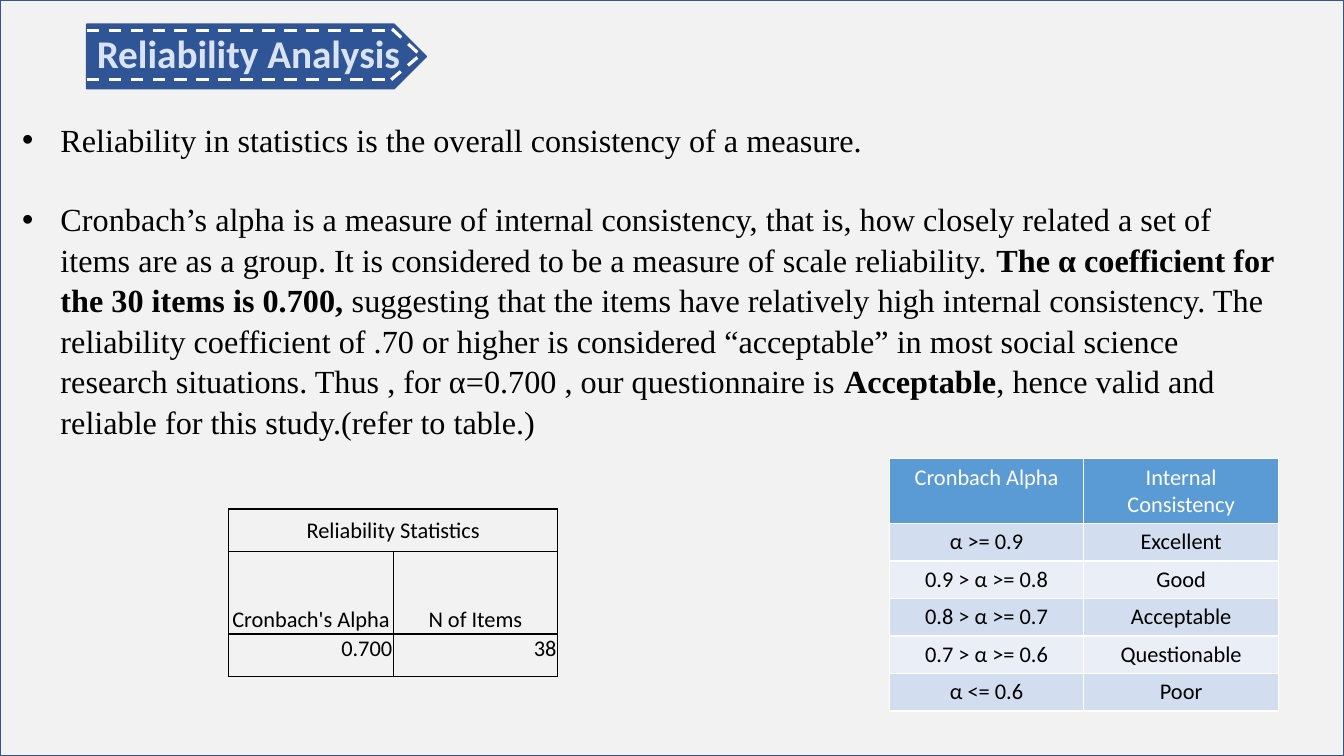
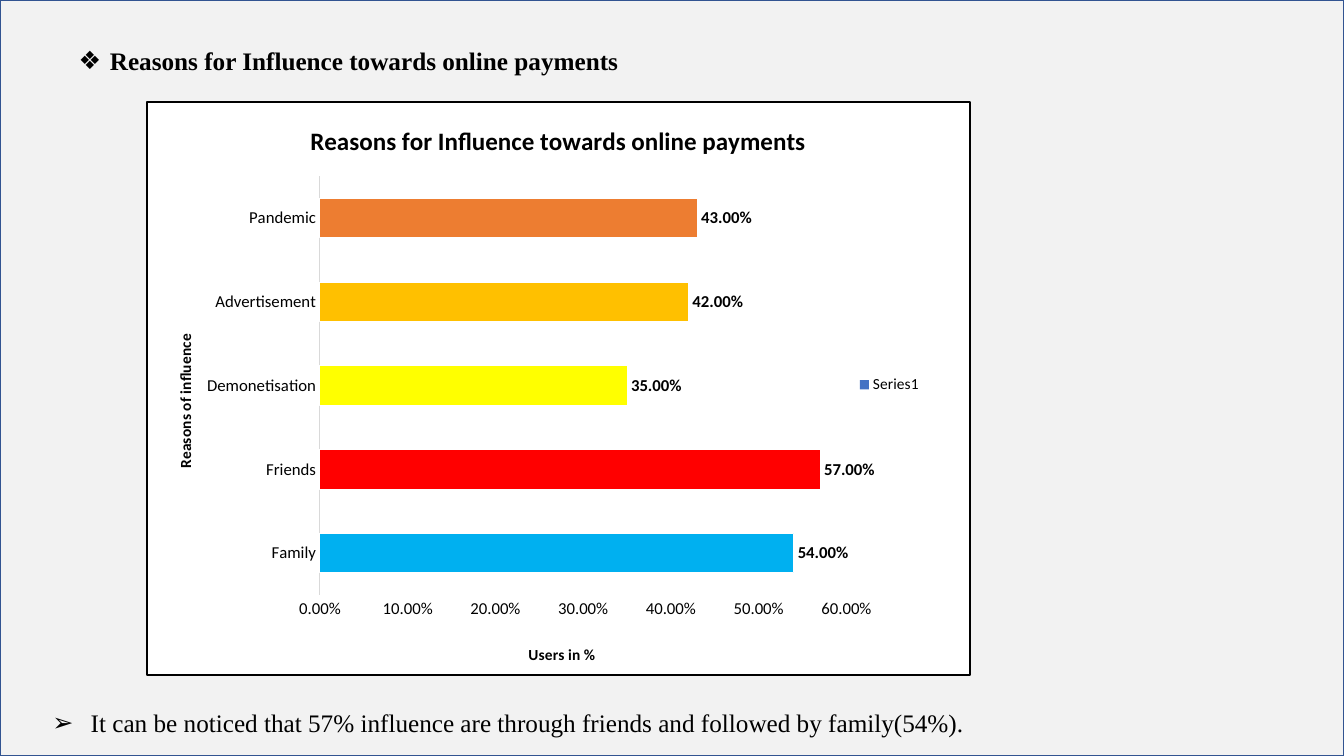
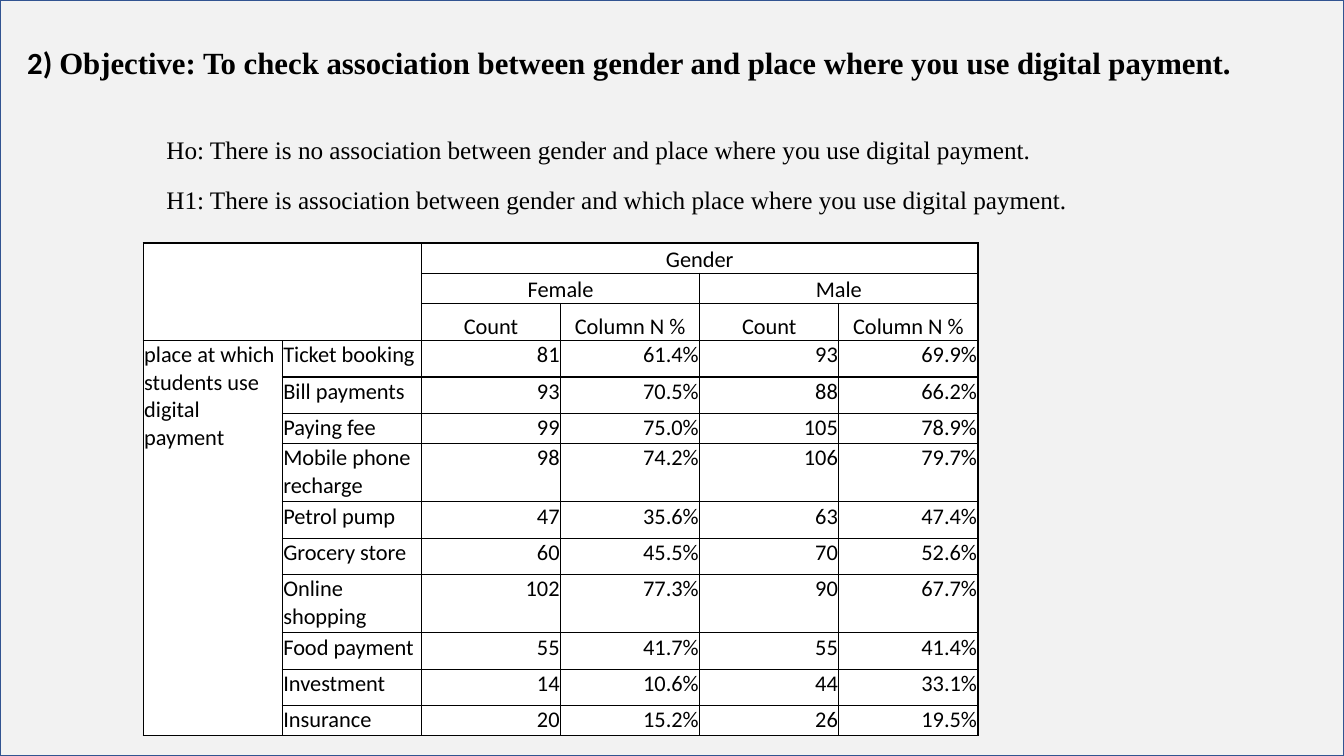
from dataclasses import dataclass

from lxml import etree
from pptx import Presentation
from pptx.chart.data import CategoryChartData
from pptx.dml.color import RGBColor
from pptx.enum.chart import (XL_CHART_TYPE, XL_LABEL_POSITION,
                             XL_LEGEND_POSITION, XL_TICK_MARK)
from pptx.enum.dml import MSO_LINE
from pptx.enum.shapes import MSO_CONNECTOR, MSO_SHAPE
from pptx.enum.text import MSO_ANCHOR, MSO_AUTO_SIZE, PP_ALIGN
from pptx.oxml.ns import qn
from pptx.util import Inches, Pt

LEFT, MID, RIGHT = PP_ALIGN.LEFT, PP_ALIGN.CENTER, PP_ALIGN.RIGHT
TOP, CORE, LOW = MSO_ANCHOR.TOP, MSO_ANCHOR.MIDDLE, MSO_ANCHOR.BOTTOM
RECT, PLATE = MSO_SHAPE.RECTANGLE, MSO_SHAPE.PENTAGON
LINE, DASH = MSO_CONNECTOR.STRAIGHT, MSO_LINE.DASH
BAR, OUTER = XL_CHART_TYPE.BAR_CLUSTERED, XL_LABEL_POSITION.OUTSIDE_END
SIDE, NO_TICK = XL_LEGEND_POSITION.RIGHT, XL_TICK_MARK.NONE
NO_FIT = MSO_AUTO_SIZE.NONE


@dataclass(frozen=True)
class Theme:
    """Colours, fonts and type sizes of the deck."""
    panel: str = "F2F2F2"
    edge: str = "325491"
    plate: str = "2F5597"
    pale: str = "DAE3F3"
    ink: str = "000000"
    white: str = "FFFFFF"
    head: str = "5B9BD5"
    bands: tuple = ("EAEFF7", "D2DEEF")
    axis: str = "D9D9D9"
    series: str = "4472C4"
    bars: tuple = ("00B0F0", "FF0000", "FFFF00", "FFC000", "ED7D31")
    sans: str = "Calibri"
    serif: str = "Times New Roman"
    banner: int = 28
    lead: int = 23
    title: int = 22
    text: int = 18
    cell: int = 16
    label: int = 12
    small: int = 11


T = Theme()


def rgb(code):
    """Turn a hex code into a colour."""
    return RGBColor.from_string(code)


def style(font, size, name=T.sans, ink=T.ink, bold=False):
    """Set the look of a font."""
    font.size, font.name, font.bold = Pt(size), name, bold
    font.color.rgb = rgb(ink)


def node(parent, tag, **attrs):
    """Append an XML child."""
    return etree.SubElement(parent, qn(tag), attrs)


def stroke(parent, tag, code, width):
    """Append a solid line to an XML parent."""
    line = node(parent, tag, w=str(Pt(width)))
    node(node(line, "a:solidFill"), "a:srgbClr", val=code)


def mark_up(para, mark, hang):
    """Give a paragraph its bullet and hanging indent."""
    props = para._p.get_or_add_pPr()
    props.set("marL", str(Inches(hang)))
    props.set("indent", str(-Inches(hang)))
    if mark:
        node(props, "a:buFont", typeface="Arial")
        node(props, "a:buChar", char=mark)
    else:
        node(props, "a:buNone")


def write(shape, at, paras, size, ink=T.ink, mark="", hang=0, space=1, after=0):
    """Place a placeholder and fill it with paragraphs of (text, font, bold)."""
    shape.left, shape.top, shape.width, shape.height = map(Inches, at)
    frame = shape.text_frame
    frame.word_wrap, frame.auto_size = True, NO_FIT
    frame.vertical_anchor = TOP
    for i, parts in enumerate(paras):
        para = frame.add_paragraph() if i else frame.paragraphs[0]
        para.alignment, para.line_spacing = LEFT, space
        para.space_before, para.space_after = Pt(0), Pt(after)
        mark_up(para, mark, hang)
        for text, name, bold in parts:
            run = para.add_run()
            run.text = text
            style(run.font, size, name, ink, bold)


def block(slide, kind, at, fill):
    """Draw a filled, outlined shape."""
    shape = slide.shapes.add_shape(kind, *map(Inches, at))
    shape.shadow.inherit = False
    shape.fill.solid()
    shape.fill.fore_color.rgb = rgb(fill)
    shape.line.color.rgb = rgb(T.edge)
    shape.line.width = Pt(1)
    return shape


def stitch(slide, *ends):
    """Draw a dashed white line."""
    line = slide.shapes.add_connector(LINE, *map(Inches, ends))
    line.line.color.rgb = rgb(T.white)
    line.line.width, line.line.dash_style = Pt(2.25), DASH
    node(line.element.spPr, "a:effectLst")


def grid(slide, at, wide, highs, rows, face, edge, spans=(), tight=True):
    """Draw a table; face(row, col) gives align, anchor, fill and ink."""
    count = len(rows[0])
    shape = slide.shapes.add_table(len(rows), count, *map(Inches, at),
                                   Inches(wide * count), Inches(sum(highs)))
    table = shape.table
    table.first_row = table.horz_banding = False
    for col in table.columns:
        col.width = Inches(wide)
    for r, (high, texts) in enumerate(zip(highs, rows)):
        table.rows[r].height = Inches(high)
        for c, text in enumerate(texts):
            dress(table.cell(r, c), text, face(r, c), edge, tight)
    for top, left, bottom, right in spans:
        table.cell(top, left).merge(table.cell(bottom, right))


def dress(cell, text, face, edge, tight):
    """Fill and format one table cell."""
    align, anchor, fill, ink = face
    if tight:
        cell.margin_left = cell.margin_right = cell.margin_top = Inches(0.01)
        cell.margin_bottom = 0
    cell.vertical_anchor = anchor
    for tag in ("a:lnL", "a:lnR", "a:lnT", "a:lnB"):
        stroke(cell._tc.get_or_add_tcPr(), tag, edge, 1)
    if fill:
        cell.fill.solid()
        cell.fill.fore_color.rgb = rgb(fill)
    else:
        cell.fill.background()
    para = cell.text_frame.paragraphs[0]
    para.alignment = align
    if text:
        para.text = text
        style(para.runs[0].font, T.cell, ink=ink)
    else:
        node(para._p, "a:endParaRPr", sz=str(T.cell * 100))


def settle(part, inner=False, **spots):
    """Fix a chart part at fractions of the chart area."""
    layout = part.find(qn("c:layout"))
    if layout is None:
        layout = etree.Element(qn("c:layout"))
        prior = part.find(qn("c:tx"))
        if prior is None:
            prior = part.find(qn("c:legendPos"))
        if prior is None:
            part.insert(0, layout)
        else:
            prior.addnext(layout)
    manual = node(layout, "c:manualLayout")
    if inner:
        node(manual, "c:layoutTarget", val="inner")
    for key in ("x", "y"):
        node(manual, f"c:{key}Mode", val="edge")
    for key, spot in spots.items():
        node(manual, f"c:{key}", val=str(spot))


def caption(owner, text, size):
    """Set a bold chart or axis title and return its XML."""
    frame = owner.text_frame
    frame.text = text
    style(frame.paragraphs[0].runs[0].font, size, bold=True)
    return owner._element


def bars(slide, at, heads, cats, vals):
    """Draw the bar chart with a colour for each bar."""
    data = CategoryChartData(number_format="0.00%")
    data.categories = cats
    data.add_series("Series1", vals)
    chart = slide.shapes.add_chart(BAR, *map(Inches, at), data).chart
    style(chart.font, T.small)
    back = etree.Element(qn("c:spPr"))
    node(node(back, "a:solidFill"), "a:srgbClr", val=T.white)
    stroke(back, "a:ln", T.ink, 1.5)
    space = chart._chartSpace
    space.find(qn("c:chart")).addnext(back)
    title, side, foot = heads
    chart.has_title = True
    caption(chart.chart_title, title, T.text)

    plot = chart.plots[0]
    plot.gap_width, plot.vary_by_categories = 112, False
    series = plot.series[0]
    series.format.fill.solid()
    series.format.fill.fore_color.rgb = rgb(T.series)
    for i, code in enumerate(T.bars):
        look = series.points[i].format
        look.fill.solid()
        look.fill.fore_color.rgb = rgb(code)
        look.line.color.rgb = rgb(T.white)
        look.line.width = Pt(0.75)
    plot.has_data_labels = True
    labels = plot.data_labels
    labels.show_value, labels.position = True, OUTER
    labels.number_format, labels.number_format_is_linked = "0.00%", False
    style(labels.font, T.label, bold=True)

    cat, val = chart.category_axis, chart.value_axis
    for axis in (cat, val):
        axis.major_tick_mark = axis.minor_tick_mark = NO_TICK
        axis.has_major_gridlines = False
        style(axis.tick_labels.font, T.label)
    cat.format.line.color.rgb = rgb(T.axis)
    cat.format.line.width = Pt(0.75)
    val.format.line.fill.background()
    val.minimum_scale, val.maximum_scale, val.major_unit = 0, 0.6, 0.1
    val.tick_labels.number_format = "0.00%"
    val.tick_labels.number_format_is_linked = False
    settle(caption(cat.axis_title, side, T.small), x=0.03, y=0.4)
    settle(caption(val.axis_title, foot, T.small), x=0.46, y=0.94)
    turn = cat.axis_title.text_frame._txBody.find(qn("a:bodyPr"))
    turn.set("rot", "-5400000")
    turn.set("vert", "horz")

    chart.has_legend = True
    chart.legend.position, chart.legend.include_in_layout = SIDE, False
    style(chart.legend.font, T.small)
    settle(chart.legend._element, x=0.86, y=0.47)
    settle(space.find(".//" + qn("c:plotArea")), inner=True,
           x=0.21, y=0.13, w=0.64, h=0.73)


def frame_deck(deck, slide):
    """Put the shared outlined panel on the slide master."""
    panel = block(slide, RECT, (0, 0, 13.33, 7.5), T.panel)
    deck.slide_master.shapes.element.insert(2, panel.element)


def stat_face(r, c):
    """Style the statistics cells."""
    spot = ((MID, CORE), (MID, LOW), (RIGHT, TOP))[r]
    return (*spot, None, T.ink)


def grade_face(r, c):
    """Style the grade cells in bands."""
    if r == 0:
        return MID, TOP, T.head, T.white
    return MID, TOP, T.bands[r % 2], T.ink


def place_face(r, c):
    """Style the gender and place cells."""
    if r < 3:
        return MID, LOW, T.white, T.ink
    return LEFT if c < 2 else RIGHT, TOP, T.white, T.ink


def reliability(slide):
    """Build the reliability slide."""
    title, body = slide.placeholders
    block(slide, PLATE, (0.86, 0.24, 3.37, 0.64), T.plate)
    for ends in ((0.86, 0.79, 3.88, 0.79), (0.86, 0.3, 3.88, 0.3),
                 (4.14, 0.52, 3.88, 0.28), (3.88, 0.79, 4.14, 0.57)):
        stitch(slide, *ends)
    write(title, (0.86, 0.24, 3.54, 0.57),
          [[("Reliability Analysis", T.sans, True)]], T.banner, T.pale)
    slide.shapes.element.append(title.element)
    parts = (
        "Cronbach’s alpha is a measure of internal consistency, that is, how "
        "closely related a set of items are as a group. It is considered to be "
        "a measure of scale reliability. ",
        "The α coefficient for the 30 items is 0.700, ",
        "suggesting that the items have relatively high internal consistency. "
        "The reliability coefficient of .70 or higher is considered "
        "“acceptable” in most social science research situations. Thus , for "
        "α=0.700 , our questionnaire is ",
        "Acceptable",
        ", hence valid and reliable for this study.(refer to table.)")
    intro = "Reliability in statistics is the overall consistency of a measure."
    write(body, (0.12, 1.12, 12.76, 4.11),
          [[(intro, T.serif, False)],
           [(text, T.serif, i % 2 == 1) for i, text in enumerate(parts)]],
          T.lead, mark="•", hang=0.38, space=1.05, after=28)
    grid(slide, (8.82, 4.55), 1.93, [0.63] + [0.37] * 5,
         [("Cronbach Alpha", "Internal Consistency"),
          ("α >= 0.9", "Excellent"), ("0.9 > α >= 0.8", "Good"),
          ("0.8 > α >= 0.7", "Acceptable"),
          ("0.7 > α >= 0.6", "Questionable"), ("α <= 0.6", "Poor")],
         grade_face, T.white, tight=False)
    grid(slide, (2.27, 5.05), 1.63, (0.42, 0.82, 0.42),
         [("Reliability Statistics", ""),
          ("Cronbach's Alpha", "N of Items"), ("0.700", "38")],
         stat_face, T.ink, [(0, 0, 0, 1)])


def reasons(slide):
    """Build the chart slide."""
    title, body = slide.placeholders
    head = "Reasons for Influence towards online payments"
    write(title, (0.68, 0.25, 6.67, 0.51), [[(head, T.serif, True)]],
          T.text, mark="❖", hang=0.31, space=1.5, after=10)
    bars(slide, (1.45, 1, 8.18, 5.71),
         (head, "Reasons of influence", "Users in %"),
         ("Family", "Friends", "Demonetisation", "Advertisement", "Pandemic"),
         (0.54, 0.57, 0.35, 0.42, 0.43))
    note = ("It can be noticed that 57% influence are through friends and "
            "followed by family(54%).")
    write(body, (0.42, 6.82, 11.53, 0.51), [[(note, T.serif, False)]],
          T.text, mark="➢", hang=0.38, space=1.5, after=10)


def places(slide):
    """Build the association slide."""
    title, body = slide.placeholders
    goal = ("Objective: To check association between gender and place where "
            "you use digital payment.")
    write(title, (0.17, 0.33, 12.44, 0.6),
          [[("2) ", T.sans, True), (goal, T.serif, True)]], T.title, space=1.15)
    claims = (
        "Ho: There is no association between gender and place where you use "
        "digital payment.",
        "H1: There is association between gender and which place where you use "
        "digital payment.")
    write(body, (1.55, 1.24, 11, 1), [[(text, T.serif, False)] for text in claims],
          T.text, space=1.15, after=11)
    rows = [("", "", "Gender", "", "", ""),
            ("", "", "Female", "", "Male", ""),
            ("", "") + ("Count", "Column N %") * 2]
    uses = (("Ticket booking", "81", "61.4%", "93", "69.9%"),
            ("Bill payments", "93", "70.5%", "88", "66.2%"),
            ("Paying fee", "99", "75.0%", "105", "78.9%"),
            ("Mobile phone recharge", "98", "74.2%", "106", "79.7%"),
            ("Petrol pump", "47", "35.6%", "63", "47.4%"),
            ("Grocery store", "60", "45.5%", "70", "52.6%"),
            ("Online shopping", "102", "77.3%", "90", "67.7%"),
            ("Food payment", "55", "41.7%", "55", "41.4%"),
            ("Investment", "14", "10.6%", "44", "33.1%"),
            ("Insurance", "20", "15.2%", "26", "19.5%"))
    side = "place at which students use digital payment"
    rows += [("" if i else side, *use) for i, use in enumerate(uses)]
    highs = (0.3, 0.3, 0.37, 0.36, 0.36, 0.3, 0.58, 0.36, 0.36, 0.58,
             0.36, 0.36, 0.3)
    grid(slide, (1.42, 2.41), 1.38, highs, rows, place_face, T.ink,
         [(0, 0, 2, 1), (0, 2, 0, 5), (1, 2, 1, 3), (1, 4, 1, 5),
          (3, 0, 12, 0)])


def main():
    """Build and save the deck."""
    deck = Presentation()
    deck.slide_width, deck.slide_height = Inches(13.33), Inches(7.5)
    slides = [deck.slides.add_slide(deck.slide_layouts[1]) for _ in range(3)]
    frame_deck(deck, slides[0])
    for build, slide in zip((reliability, reasons, places), slides):
        build(slide)
    deck.save("out.pptx")


if __name__ == "__main__":
    main()
